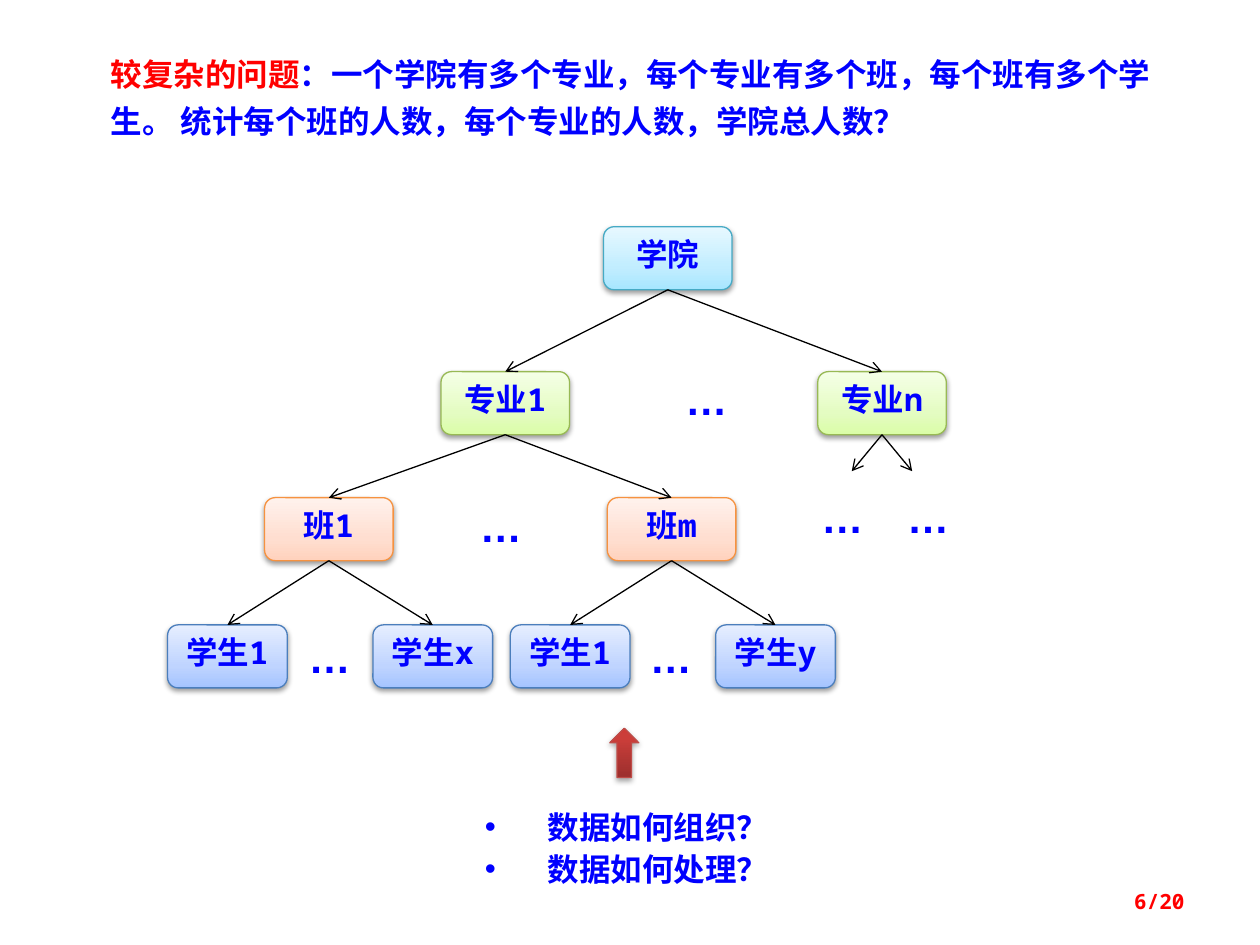
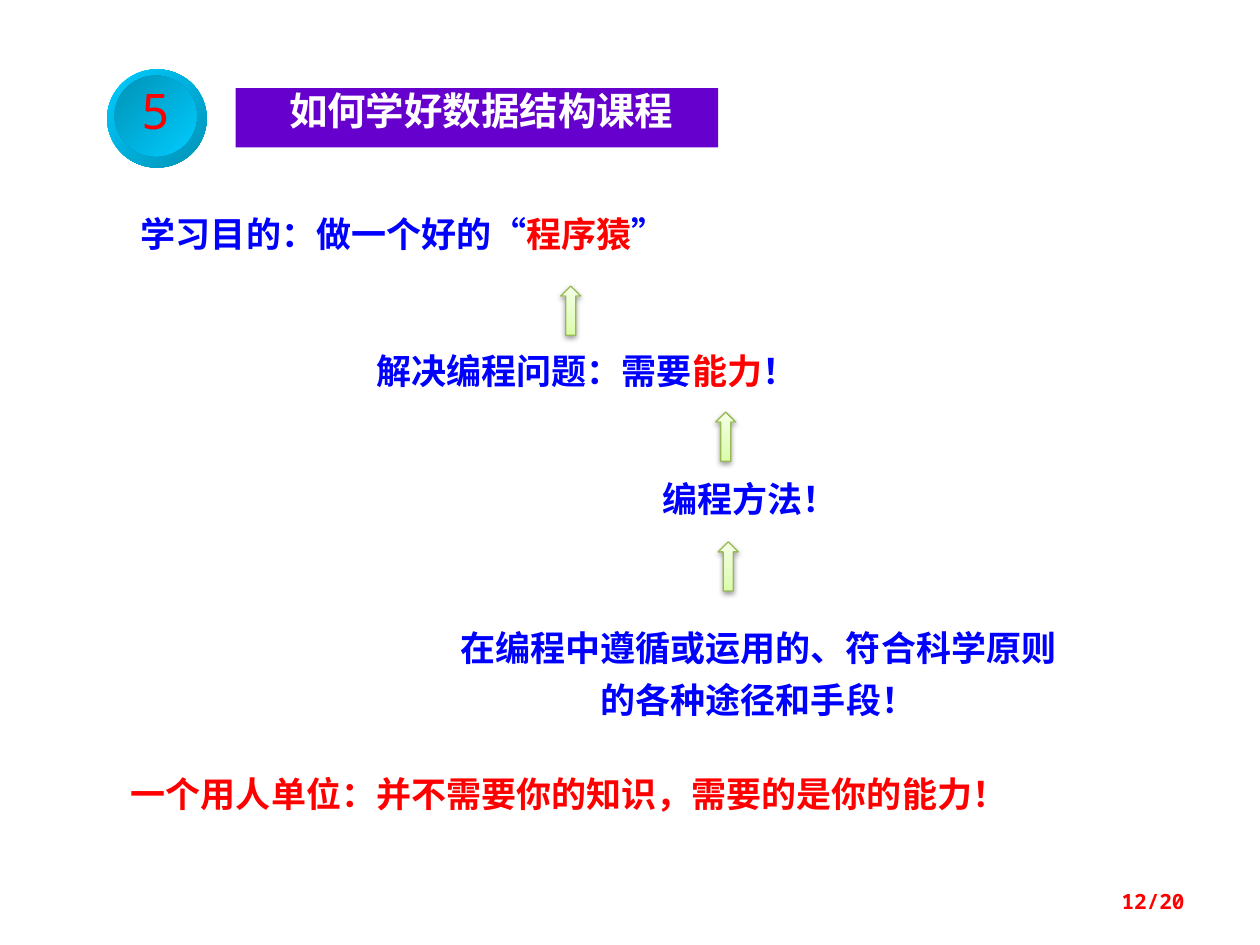
from dataclasses import dataclass
from typing import Optional

from lxml.etree import SubElement
from pptx import Presentation
from pptx.dml.color import RGBColor
from pptx.enum.shapes import MSO_CONNECTOR, MSO_SHAPE
from pptx.enum.text import MSO_ANCHOR, PP_ALIGN
from pptx.oxml.ns import qn
from pptx.util import Emu, Pt

EMU_PER_PX = 9144
BLUE, RED, WHITE, BLACK = "0000FF", "FF0000", "FFFFFF", "000000"
PURPLE = "6600CC"
HAN, MONO, LATIN = "Noto Sans CJK SC", "Noto Sans Mono", "Arial"
CYAN, TEAL = "00CCFF", "0092B6"
NODE_HEIGHT = 50


@dataclass(frozen=True)
class Box:
    """Place and size in px."""
    left: int
    top: int
    width: int
    height: int


@dataclass(frozen=True)
class Paint:
    """Gradient stops, direction and optional outline."""
    stops: tuple
    angle: int = 90
    line: Optional[str] = None
    shadow_alpha: int = 38


@dataclass(frozen=True)
class Level:
    """One row of the tree."""
    top: int
    width: int
    paint: Paint


@dataclass(frozen=True)
class Node:
    """A box of the tree with the index of its parent."""
    label: str
    center: int
    level: Level
    parent: Optional[int] = None


@dataclass(frozen=True)
class Statement:
    """A line of text with an optional red part."""
    text: str
    box: Box
    accent: str = ""
    color: str = BLUE
    font: str = HAN


GREEN = Paint(((0, "DAFDA7"), (35, "E4FCC2"), (100, "F5FFE7")), line="98B955")
AQUA = Paint(((0, "A7E6FF"), (35, "C1EDFF"), (100, "E7F8FF")), line="46AAC5")
ORANGE = Paint(((0, "FFD2BD"), (35, "FFDED0"), (100, "FFF2ED")), line="F69240")
SKY = Paint(((0, "A4C4FF"), (35, "BFD4FF"), (100, "E6EEFF")), line="4B7EBC")
CRIMSON = Paint(((0, "9C2F2D"), (80, "CB3E3A"), (100, "CE3B37")),
                line="BF4C48", shadow_alpha=35)

COLLEGE = Level(180, 102, AQUA)
MAJOR = Level(295, 102, GREEN)
CLASS = Level(395, 102, ORANGE)
STUDENT = Level(496, 95, SKY)


def px(length: int) -> Emu:
    """Turn px into EMU."""
    return Emu(length * EMU_PER_PX)


def rgb(value: str) -> RGBColor:
    """Turn a hex string into a colour."""
    return RGBColor.from_string(value)


def place(box: Box) -> tuple:
    """Give the four lengths of a box in EMU."""
    return px(box.left), px(box.top), px(box.width), px(box.height)


def write(shape, text: str, *, accent: str = "", color: str = BLUE,
          size: int = 18, font: str = HAN, bold: bool = True,
          align=PP_ALIGN.LEFT, leading=None, anchor=MSO_ANCHOR.TOP,
          bullet: str = "", wrap: bool = True) -> None:
    """Write text line by line, with the accent part in red."""
    frame = shape.text_frame
    frame.word_wrap = wrap
    frame.vertical_anchor = anchor
    for number, line in enumerate(text.split("\n")):
        paragraph = frame.add_paragraph() if number else frame.paragraphs[0]
        paragraph.alignment = align
        paragraph.line_spacing = leading
        if bullet:
            properties = paragraph._p.get_or_add_pPr()
            properties.set("marL", str(px(50)))
            properties.set("indent", str(px(-50)))
            SubElement(properties, qn("a:buFont"), typeface=LATIN)
            SubElement(properties, qn("a:buChar"), char=bullet)
        before, middle, after = line.partition(accent) if accent else (line, "", "")
        for part, tint in ((before, color), (middle, RED), (after, color)):
            if part:
                run = paragraph.add_run()
                run.text = part
                run.font.size = Pt(size)
                run.font.bold = bold
                run.font.color.rgb = rgb(tint)
                run.font.name = font
                SubElement(run._r.get_or_add_rPr(), qn("a:ea"),
                           typeface=HAN if font == MONO else font)


def add_text(slide, box: Box, text: str, **style) -> None:
    """Add a text box."""
    write(slide.shapes.add_textbox(*place(box)), text, **style)


def add_block(slide, box: Box, color: str):
    """Add a plain filled rectangle."""
    block = slide.shapes.add_shape(MSO_SHAPE.RECTANGLE, *place(box))
    block.shadow.inherit = False
    block.fill.solid()
    block.fill.fore_color.rgb = rgb(color)
    block.line.fill.background()
    return block


def add_painted(slide, kind, box: Box, paint: Paint):
    """Add a shape with gradient, and outline and shadow if it has a line."""
    shape = slide.shapes.add_shape(kind, *place(box))
    shape.shadow.inherit = False
    shape.fill.gradient()
    shape.fill.gradient_angle = paint.angle
    properties = shape._element.spPr
    stop_list = properties.find(".//" + qn("a:gsLst"))
    for old_stop in list(stop_list):
        stop_list.remove(old_stop)
    for position, color in paint.stops:
        stop = SubElement(stop_list, qn("a:gs"), pos=str(position * 1000))
        SubElement(stop, qn("a:srgbClr"), val=color)
    if paint.line is None:
        shape.line.fill.background()
        return shape
    shape.line.color.rgb = rgb(paint.line)
    shape.line.width = Pt(0.75)
    shadow = SubElement(properties.find(qn("a:effectLst")), qn("a:outerShdw"),
                        blurRad=str(Pt(3.1)), dist=str(Pt(1.6)),
                        dir="5400000", rotWithShape="0")
    tint = SubElement(shadow, qn("a:srgbClr"), val=BLACK)
    SubElement(tint, qn("a:alpha"), val=str(paint.shadow_alpha * 1000))
    return shape


def add_arrow(slide, start: tuple, end: tuple):
    """Add a thin arrow between two points."""
    arrow = slide.shapes.add_connector(
        MSO_CONNECTOR.STRAIGHT, *(px(value) for value in start + end))
    arrow.line.color.rgb = rgb(BLACK)
    arrow.line.width = Pt(0.75)
    properties = arrow._element.spPr
    SubElement(properties.find(qn("a:ln")), qn("a:tailEnd"), type="arrow")
    SubElement(properties, qn("a:effectLst"))
    return arrow


def add_page_number(slide, number: int) -> None:
    """Add the page number at the lower right."""
    add_text(slide, Box(717, 695, 233, 40), f"{number}/20", size=12, font=MONO,
             color=RED, align=PP_ALIGN.RIGHT, anchor=MSO_ANCHOR.MIDDLE)


def add_tree(slide, nodes: list) -> None:
    """Draw the nodes and join each one to its parent."""
    drawn = []
    for node in nodes:
        level = node.level
        box = Box(node.center - level.width // 2, level.top, level.width, NODE_HEIGHT)
        shape = add_painted(slide, MSO_SHAPE.ROUNDED_RECTANGLE, box, level.paint)
        write(shape, node.label, font=MONO, align=PP_ALIGN.CENTER,
              leading=0.7, anchor=MSO_ANCHOR.MIDDLE)
        drawn.append(shape)
        if node.parent is not None:
            parent = nodes[node.parent]
            arrow = add_arrow(slide, (parent.center, parent.level.top + NODE_HEIGHT),
                              (node.center, level.top))
            arrow.begin_connect(drawn[node.parent], 2)
            arrow.end_connect(shape, 0)


def build_problem(slide) -> None:
    """Build the slide on the college tree."""
    add_text(slide, Box(78, 31, 867, 94),
             "较复杂的问题：一个学院有多个专业，每个专业有多个班，每个班有多个学生。 "
             "统计每个班的人数，每个专业的人数，学院总人数？",
             accent="较复杂的问题", leading=1.25)
    nodes = [Node("学院", 530, COLLEGE),
             Node("专业1", 401, MAJOR, 0), Node("专业n", 700, MAJOR, 0),
             Node("班1", 261, CLASS, 1), Node("班m", 533, CLASS, 1)]
    for parent, last in ((3, "x"), (4, "y")):
        center = nodes[parent].center
        nodes += [Node("学生1", center - 81, STUDENT, parent),
                  Node(f"学生{last}", center + 82, STUDENT, parent)]
    add_tree(slide, nodes)
    for tip in (676, 724):
        add_arrow(slide, (700, 345), (tip, 374))
    for left, top in ((534, 299), (371, 400), (642, 393), (710, 393),
                      (235, 504), (506, 504)):
        add_text(slide, Box(left, top, 48, 39), "…", size=24, font=LATIN,
                 align=PP_ALIGN.CENTER, leading=0.8)
    questions = add_block(slide, Box(375, 633, 250, 75), WHITE)
    write(questions, "数据如何组织？\n数据如何处理？", leading=Pt(24), bullet="•")
    add_painted(slide, MSO_SHAPE.UP_ARROW, Box(484, 578, 23, 39), CRIMSON)
    add_page_number(slide, 6)


def build_learning(slide) -> None:
    """Build the slide on how to learn the course."""
    heading = add_block(slide, Box(187, 70, 383, 47), PURPLE)
    write(heading, " 如何学好数据结构课程", size=22, color=WHITE,
          align=PP_ALIGN.CENTER, leading=0.85)
    add_painted(slide, MSO_SHAPE.OVAL, Box(85, 55, 79, 78),
                Paint(((0, CYAN), (100, TEAL)), 315))
    badge = add_painted(slide, MSO_SHAPE.OVAL, Box(91, 60, 65, 64),
                        Paint(((0, TEAL), (100, CYAN)), 315))
    write(badge, "5", size=28, font=MONO, color=RED, bold=False, wrap=False,
          align=PP_ALIGN.CENTER, leading=0.8, anchor=MSO_ANCHOR.MIDDLE)
    statements = (
        Statement("学习目的：做一个好的“程序猿”", Box(102, 172, 453, 37), "程序猿"),
        Statement("解决编程问题：需要能力！", Box(289, 281, 375, 37), "能力"),
        Statement("编程方法！", Box(516, 383, 180, 37)),
        Statement("一个用人单位：并不需要你的知识，需要的是你的能力！",
                  Box(94, 617, 734, 39), color=RED, font="Noto Sans CJK JP"))
    for item in statements:
        add_text(slide, item.box, item.text, accent=item.accent,
                 color=item.color, font=item.font, size=20, leading=0.72)
    add_text(slide, Box(344, 484, 516, 94),
             "在编程中遵循或运用的、符合科学原则的各种途径和手段！",
             size=20, align=PP_ALIGN.CENTER, leading=Pt(30))
    for left, top in ((445, 227), (568, 327), (570, 430)):
        add_painted(slide, MSO_SHAPE.UP_ARROW, Box(left, top, 16, 39), GREEN)
    add_page_number(slide, 12)


def main() -> None:
    """Build and save the presentation."""
    deck = Presentation()
    deck.slide_width, deck.slide_height = px(1000), px(750)
    for build in (build_problem, build_learning):
        build(deck.slides.add_slide(deck.slide_layouts[6]))
    deck.save("out.pptx")


if __name__ == "__main__":
    main()
